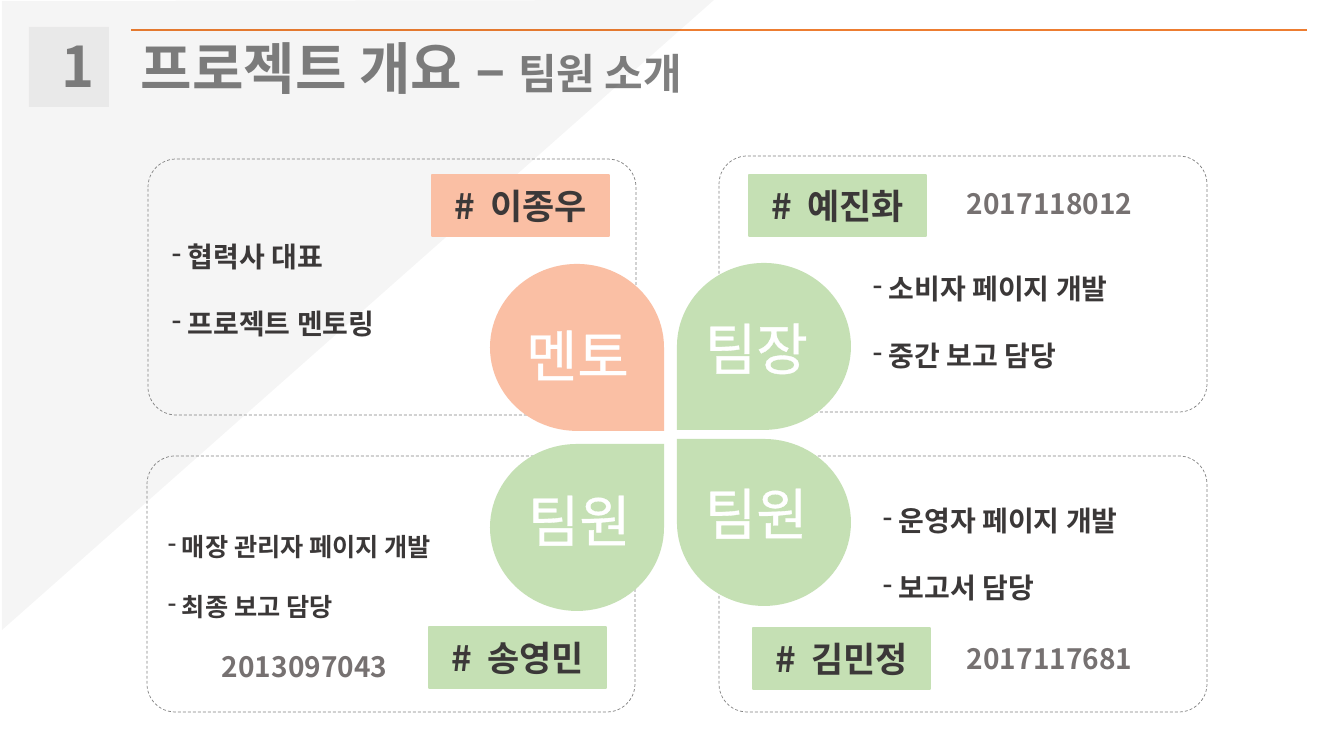
from lxml import etree
from pptx import Presentation
from pptx import util as u
from pptx.dml.color import RGBColor
from pptx.enum import dml, shapes, text
from pptx.oxml.ns import qn

THEME = {
    "font": "Noto Sans CJK KR",
    "colors": {
        "accent": "ED7D31", "badge": "F2F2F2", "heading": "808080",
        "wedge": "181717", "mentor": "FABFA4", "team": "C5E0B4",
        "ink": "3B3838", "id": "767171", "white": "FFFFFF",
    },
    "sizes": {"heading": 40, "subheading": 30, "name": 25, "duty": 20, "small": 18},
}
SLIDE = (1344, 756)
CARD, PETAL, TAG = (488, 256), (174, 167), (177, 61)
RULE = ((131, 30), (1307, 30))
WEDGE = [(2, 1), (2, 630), (714, 0)]
BADGE = (29, 27, 80, 80)
NUMBER = ("1", (52, 27, 28, 78))
HEADING = ("프로젝트 개요 – ", "팀원 소개", (131, 29, 589, 78))

MEMBERS = [
    {"name": "이종우", "role": "멘토", "color": "mentor", "flips": ["flipV"],
     "duties": ["협력사 대표", "프로젝트 멘토링"], "duty_size": "duty",
     "card": (148, 159), "petal": (490, 264), "role_at": (516, 316, 139, 78),
     "tag": (432, 175), "duties_at": (162, 201, 291, 146)},
    {"name": "예진화", "role": "팀장", "color": "team", "flips": ["flipH", "flipV"],
     "duties": ["소비자 페이지 개발", "중간 보고 담당"], "duty_size": "duty",
     "card": (719, 156), "petal": (677, 263), "role_at": (695, 309, 146, 78),
     "tag": (749, 175), "duties_at": (863, 233, 291, 146)},
    {"name": "송영민", "role": "팀원", "color": "team", "flips": [],
     "duties": ["매장 관리자 페이지 개발", "최종 보고 담당"], "duty_size": "small",
     "card": (147, 456), "petal": (490, 444), "role_at": (518, 481, 134, 78),
     "tag": (429, 627), "duties_at": (158, 496, 331, 132)},
    {"name": "김민정", "role": "팀원", "color": "team", "flips": ["flipH"],
     "duties": ["운영자 페이지 개발", "보고서 담당"], "duty_size": "duty",
     "card": (719, 456), "petal": (677, 439), "role_at": (695, 474, 140, 78),
     "tag": (753, 628), "duties_at": (873, 465, 291, 146)},
]
STUDENT_IDS = [
    ("2017118012", (957, 182, 228, 44)),
    ("2013097043", (212, 645, 193, 44)),
    ("2017117681", (957, 637, 193, 44)),
]

SCALE = 914400 / 100.8


def emu(*lengths):
    return [round(length * SCALE) for length in lengths]


def color(key):
    return RGBColor.from_string(THEME["colors"][key])


def paint(shape, fill=None, line=None, width=1):
    shape.shadow.inherit = False
    for part, key in ((shape.fill, fill), (shape.line.fill, line)):
        if key:
            part.solid()
            part.fore_color.rgb = color(key)
        else:
            part.background()
    if line:
        shape.line.width = u.Pt(width)


def add_block(parent, kind, box, **look):
    block = parent.add_shape(kind, *emu(*box))
    paint(block, **look)
    return block


def write(paragraph, words, size, ink, bold=True):
    run = paragraph.add_run()
    run.text = words
    run.font.color.rgb = color(ink)
    values = {"name": THEME["font"], "size": u.Pt(THEME["sizes"][size]), "bold": bold}
    for key, value in values.items():
        setattr(run.font, key, value)
    props = run.font._element
    etree.SubElement(props, qn("a:ea"), typeface=THEME["font"])
    return props


def add_text(parent, box, wrap=True):
    frame = parent.add_textbox(*emu(*box)).text_frame
    for key, value in {"word_wrap": wrap, "auto_size": text.MSO_AUTO_SIZE.SHAPE_TO_FIT_TEXT}.items():
        setattr(frame, key, value)
    return frame


def add_petal(parent, member):
    group = parent.add_group_shape().shapes
    petal = add_block(group, shapes.MSO_SHAPE.TEAR, member["petal"] + PETAL, fill=member["color"])
    for flip in member["flips"]:
        petal._element.spPr.find(qn("a:xfrm")).set(flip, "1")
    role = add_text(group, member["role_at"]).paragraphs[0]
    props = write(role, member["role"], "heading", "white", bold=None)
    outline = etree.Element(qn("a:ln"), w=str(u.Pt(1.45)))
    fill = etree.SubElement(outline, qn("a:solidFill"))
    etree.SubElement(fill, qn("a:srgbClr"), val=THEME["colors"]["white"])
    props.insert(0, outline)


def add_tag(parent, member):
    tag = add_block(parent, shapes.MSO_SHAPE.RECTANGLE, member["tag"] + TAG,
                    fill=member["color"], line=member["color"])
    tag.text_frame.vertical_anchor = text.MSO_ANCHOR.MIDDLE
    label = tag.text_frame.paragraphs[0]
    label.alignment = text.PP_ALIGN.CENTER
    write(label, "# ", "name", "ink").set("spc", "280")
    write(label, member["name"], "name", "ink")


def add_duties(parent, member):
    frame = add_text(parent, member["duties_at"])
    for index, duty in enumerate(member["duties"]):
        line = frame.add_paragraph() if index else frame.paragraphs[0]
        line.line_spacing = 2.0
        props = line._p.get_or_add_pPr()
        etree.SubElement(props, qn("a:buFontTx"))
        etree.SubElement(props, qn("a:buChar"), char="-")
        write(line, " " + duty, member["duty_size"], "ink")


def add_member(parent, member):
    card = add_block(parent, shapes.MSO_SHAPE.ROUNDED_RECTANGLE, member["card"] + CARD,
                     line="heading", width=0.5)
    card.adjustments[0] = 0.11
    card.line.dash_style = dml.MSO_LINE.DASH
    add_petal(parent, member)
    add_tag(parent, member)
    add_duties(parent, member)


def add_header(parent):
    start, end = RULE
    rule = parent.add_connector(shapes.MSO_CONNECTOR.STRAIGHT, *emu(*start, *end))
    rule.line.color.rgb = color("accent")
    rule.line.width = u.Pt(1.5)
    etree.SubElement(rule._element.spPr, qn("a:effectLst"))

    add_block(parent, shapes.MSO_SHAPE.RECTANGLE, BADGE, fill="badge")
    digit, box = NUMBER
    number = add_text(parent, box).paragraphs[0]
    number.alignment = text.PP_ALIGN.CENTER
    write(number, digit, "heading", "heading")

    title, subtitle, box = HEADING
    heading = add_text(parent, box, wrap=False).paragraphs[0]
    write(heading, title, "heading", "heading")
    write(heading, subtitle, "subheading", "heading")

    builder = parent.build_freeform(*WEDGE[0], scale=SCALE)
    builder.add_line_segments(WEDGE[1:], close=True)
    wedge = builder.convert_to_shape()
    paint(wedge, fill="wedge")
    tint = wedge._element.spPr.find(qn("a:solidFill"))[0]
    etree.SubElement(tint, qn("a:alpha"), val="4000")


def main():
    deck = Presentation()
    deck.slide_width, deck.slide_height = emu(*SLIDE)
    canvas = deck.slides.add_slide(deck.slide_layouts[6]).shapes
    add_header(canvas)
    for member in MEMBERS:
        add_member(canvas, member)
    for student_id, box in STUDENT_IDS:
        write(add_text(canvas, box).paragraphs[0], student_id, "duty", "id")
    deck.save("out.pptx")


if __name__ == "__main__":
    main()
